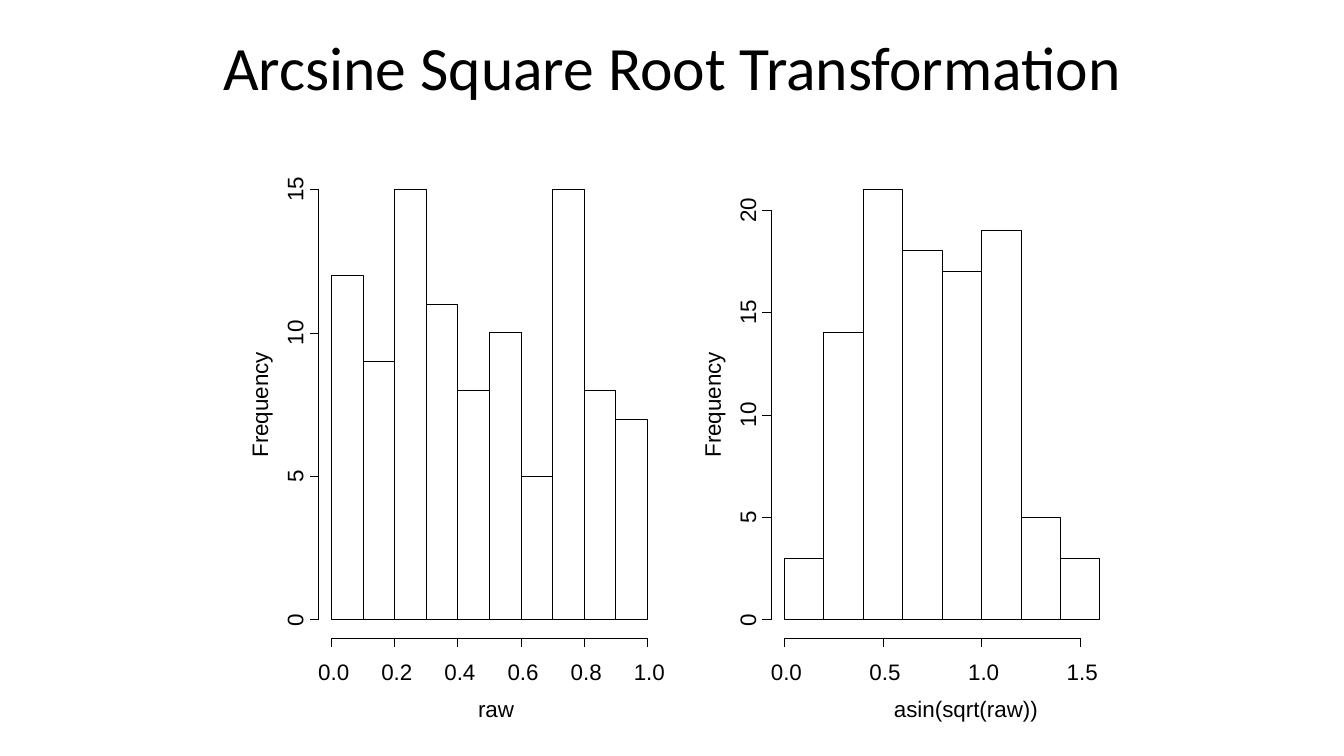
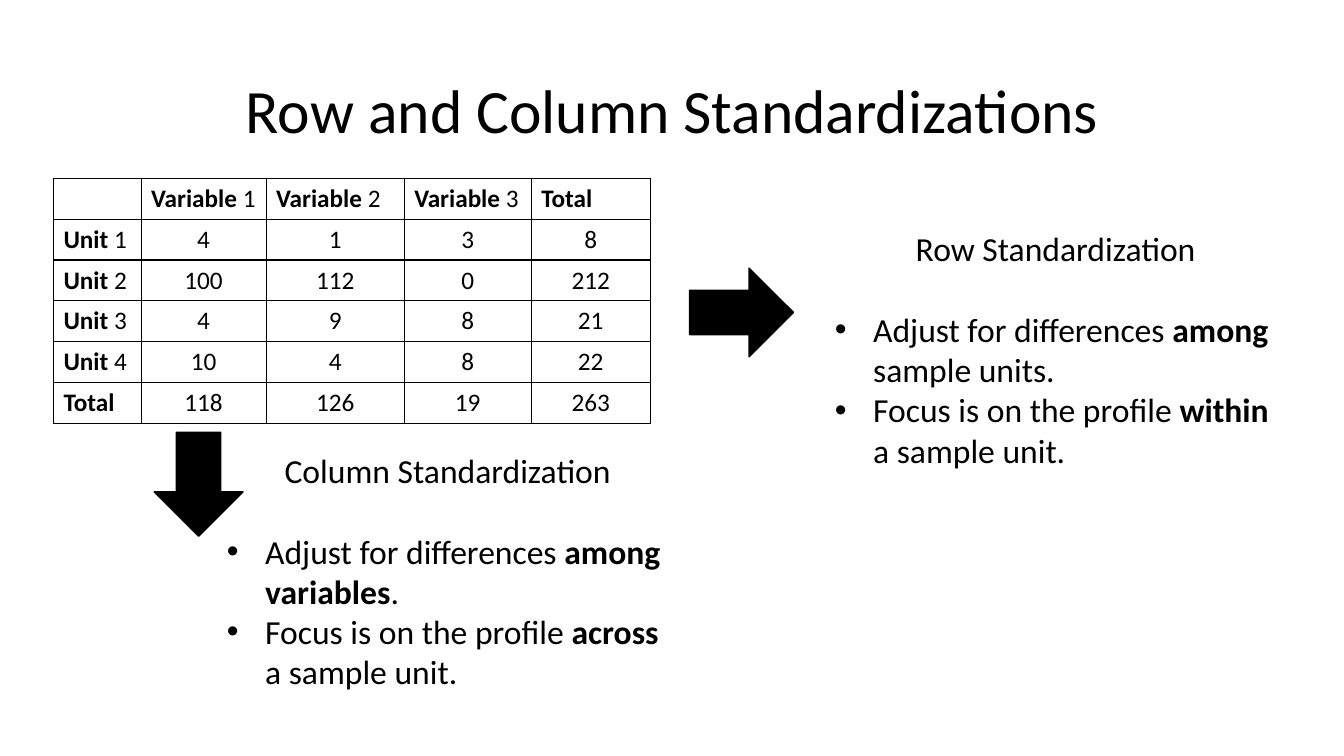
from dataclasses import dataclass

from lxml import etree
from pptx import Presentation
from pptx.chart.data import CategoryChartData
from pptx.dml.color import RGBColor
from pptx.enum.chart import XL_CHART_TYPE
from pptx.enum.shapes import MSO_CONNECTOR, MSO_SHAPE
from pptx.enum.text import MSO_ANCHOR, PP_ALIGN
from pptx.oxml.ns import qn
from pptx.util import Inches, Pt

BLACK = RGBColor(0, 0, 0)
WHITE = RGBColor(255, 255, 255)
BODY_FONT = "Calibri"
PLOT_FONT = "Arial"
PLOT_LINE = Pt(0.63)
CENTER = PP_ALIGN.CENTER
LEFT = PP_ALIGN.LEFT
MIDDLE = MSO_ANCHOR.MIDDLE
STRAIGHT = MSO_CONNECTOR.STRAIGHT
COLUMNS = XL_CHART_TYPE.COLUMN_CLUSTERED
RIGHT_ARROW = MSO_SHAPE.RIGHT_ARROW
DOWN_ARROW = MSO_SHAPE.DOWN_ARROW


@dataclass
class Histogram:
    title: str
    title_center: float
    bin_width: float
    counts: list
    x_ticks: list
    y_ticks: list


RAW = Histogram("raw", 4.92, 0.1, [12, 9, 15, 11, 8, 10, 5, 15, 8, 7],
                [0.0, 0.2, 0.4, 0.6, 0.8, 1.0], [0, 5, 10, 15])
TRANSFORMED = Histogram("asin(sqrt(raw))", 9.58, 0.2,
                        [3, 14, 21, 18, 17, 19, 5, 3],
                        [0.0, 0.5, 1.0, 1.5], [0, 5, 10, 15, 20])

COUNTS = [
    ["", "Variable 1", "Variable 2", "Variable 3", "Total"],
    ["Unit 1", "4", "1", "3", "8"],
    ["Unit 2", "100", "112", "0", "212"],
    ["Unit 3", "4", "9", "8", "21"],
    ["Unit 4", "10", "4", "8", "22"],
    ["Total", "118", "126", "19", "263"],
]
COLUMN_WIDTHS = [0.87, 1.24, 1.37, 1.26, 1.18]
ROW_HEIGHT = 0.405

# Each bullet is a list of lines, each line a list of (text, bold) runs.
ROW_BULLETS = [
    [[("Adjust for differences ", False), ("among", True)],
     [("sample units.", False)]],
    [[("Focus is on the profile ", False), ("within", True)],
     [("a sample unit.", False)]],
]
COLUMN_BULLETS = [
    [[("Adjust for differences ", False), ("among", True)],
     [("variables", True), (".", False)]],
    [[("Focus is on the profile ", False), ("across", True)],
     [("a sample unit.", False)]],
]


def add_run(paragraph, text, size, font=BODY_FONT, bold=False):
    run = paragraph.add_run()
    run.text = text
    run.font.name = font
    run.font.size = Pt(size)
    run.font.bold = bold
    run.font.color.rgb = BLACK


def add_text_frame(slide, left, top, width, height, side_margin=0.1):
    box = slide.shapes.add_textbox(Inches(left), Inches(top),
                                   Inches(width), Inches(height))
    frame = box.text_frame
    frame.word_wrap = True
    frame.margin_left = frame.margin_right = Inches(side_margin)
    return box, frame


def add_title(slide, text, top):
    _, frame = add_text_frame(slide, 0.92, top, 11.5, 1.45)
    frame.vertical_anchor = MIDDLE
    paragraph = frame.paragraphs[0]
    paragraph.alignment = CENTER
    paragraph.line_spacing = 0.9
    add_run(paragraph, text, 44)


def add_plot_label(slide, text, center_x, center_y, width=0.5, rotation=0):
    height = 0.27
    box, frame = add_text_frame(slide, center_x - width / 2,
                                center_y - height / 2, width, height, 0)
    box.rotation = rotation
    frame.margin_top = frame.margin_bottom = 0
    frame.vertical_anchor = MIDDLE
    frame.paragraphs[0].alignment = CENTER
    add_run(frame.paragraphs[0], text, 16, PLOT_FONT)


def add_axis_line(slide, x1, y1, x2, y2):
    line = slide.shapes.add_connector(STRAIGHT, Inches(x1), Inches(y1),
                                      Inches(x2), Inches(y2))
    line.line.color.rgb = BLACK
    line.line.width = PLOT_LINE
    etree.SubElement(line._element.spPr, qn("a:effectLst"))


def set_plot_layout(chart, **fractions):
    """Fix the inner plot area to fractions (x, y, w, h) of the chart."""
    plot_area = chart._chartSpace.chart.plotArea
    for old_layout in plot_area.findall(qn("c:layout")):
        plot_area.remove(old_layout)
    layout = etree.Element(qn("c:layout"))
    plot_area.insert(0, layout)
    manual = etree.SubElement(layout, qn("c:manualLayout"))
    settings = {"layoutTarget": "inner", "xMode": "edge", "yMode": "edge"}
    settings.update(fractions)
    for name, value in settings.items():
        etree.SubElement(manual, qn(f"c:{name}")).set("val", str(value))


def add_bars(slide, histogram, left, top, width, height):
    data = CategoryChartData()
    data.categories = [f"{i * histogram.bin_width:.1f}–"
                       f"{(i + 1) * histogram.bin_width:.1f}"
                       for i in range(len(histogram.counts))]
    data.add_series("Frequency", histogram.counts)
    pad = 0.1
    full_width, full_height = width + 2 * pad, height + 2 * pad
    chart = slide.shapes.add_chart(
        COLUMNS, Inches(left - pad), Inches(top - pad),
        Inches(full_width), Inches(full_height), data).chart
    set_plot_layout(chart, x=pad / full_width, y=pad / full_height,
                    w=width / full_width, h=height / full_height)
    chart.has_legend = False
    chart.has_title = False
    chart.font.name = PLOT_FONT
    chart.font.size = Pt(16)
    chart.font.color.rgb = BLACK
    chart.value_axis.minimum_scale = 0
    chart.value_axis.maximum_scale = max(histogram.counts)
    chart.value_axis.has_major_gridlines = False
    chart.value_axis.visible = False
    chart.category_axis.visible = False
    plot = chart.plots[0]
    plot.gap_width = 0
    plot.vary_by_categories = False
    bars = plot.series[0].format
    bars.fill.background()
    bars.line.color.rgb = BLACK
    bars.line.width = PLOT_LINE


def add_histogram(slide, histogram, left, top, width, height):
    """Column chart with axes set apart from the bars."""
    add_bars(slide, histogram, left, top, width, height)
    bottom = top + height
    tick = 0.09

    x_unit = width / (len(histogram.counts) * histogram.bin_width)
    axis_y = bottom + 0.18
    add_axis_line(slide, left, axis_y,
                  left + histogram.x_ticks[-1] * x_unit, axis_y)
    for value in histogram.x_ticks:
        x = left + value * x_unit
        add_axis_line(slide, x, axis_y, x, axis_y + tick)
        add_plot_label(slide, f"{value:.1f}", x + 0.02, bottom + 0.51)
    add_plot_label(slide, histogram.title, histogram.title_center,
                   bottom + 0.88, 1.8)

    y_unit = height / max(histogram.counts)
    axis_x = left - 0.13
    add_axis_line(slide, axis_x, bottom,
                  axis_x, bottom - histogram.y_ticks[-1] * y_unit)
    for value in histogram.y_ticks:
        y = bottom - value * y_unit
        add_axis_line(slide, axis_x, y, axis_x - tick, y)
        add_plot_label(slide, str(value), left - 0.37, y, rotation=270)
    add_plot_label(slide, "Frequency", left - 0.72, top + height / 2, 1.4, 270)


def style_cell(cell):
    properties = cell._tc.get_or_add_tcPr()
    for side in ("lnL", "lnR", "lnT", "lnB"):
        border = etree.SubElement(properties, qn(f"a:{side}"))
        border.set("w", str(Pt(1)))
        fill = etree.SubElement(border, qn("a:solidFill"))
        etree.SubElement(fill, qn("a:srgbClr")).set("val", str(BLACK))
    cell.fill.solid()
    cell.fill.fore_color.rgb = WHITE


def add_count_table(slide, left, top):
    table = slide.shapes.add_table(
        len(COUNTS), len(COLUMN_WIDTHS), Inches(left), Inches(top),
        Inches(sum(COLUMN_WIDTHS)), Inches(ROW_HEIGHT * len(COUNTS))).table
    table.first_row = False
    table.horz_banding = False
    for column, width in zip(table.columns, COLUMN_WIDTHS):
        column.width = Inches(width)
    for row_index, values in enumerate(COUNTS):
        table.rows[row_index].height = Inches(ROW_HEIGHT)
        for column_index, text in enumerate(values):
            cell = table.cell(row_index, column_index)
            style_cell(cell)
            paragraph = cell.text_frame.paragraphs[0]
            is_heading = row_index == 0 or column_index == 0
            paragraph.alignment = LEFT if is_heading else CENTER
            if not text:
                paragraph.font.size = Pt(18)
                continue
            name, space, number = text.partition(" ")
            add_run(paragraph, name, 18, bold=is_heading)
            if number:
                add_run(paragraph, space + number, 18)


def add_arrow(slide, kind, left, top, width, height):
    arrow = slide.shapes.add_shape(kind, Inches(left), Inches(top),
                                   Inches(width), Inches(height))
    arrow.shadow.inherit = False
    arrow.fill.solid()
    arrow.fill.fore_color.rgb = BLACK
    arrow.line.color.rgb = BLACK
    arrow.line.width = Pt(1)


def set_bullet(paragraph, margin, hanging):
    properties = paragraph._p.get_or_add_pPr()
    properties.set("marL", str(Inches(margin)))
    properties.set("indent", str(-Inches(hanging)))
    etree.SubElement(properties, qn("a:buFont")).set("typeface", PLOT_FONT)
    etree.SubElement(properties, qn("a:buChar")).set("char", "•")


def add_explanation(slide, heading, bullets, left, top):
    _, frame = add_text_frame(slide, left, top, 4.58, 2.52, 0.05)
    paragraph = frame.paragraphs[0]
    paragraph.alignment = CENTER
    paragraph.space_after = Pt(29)
    add_run(paragraph, heading, 24)
    for lines in bullets:
        paragraph = frame.add_paragraph()
        set_bullet(paragraph, 0.43, 0.38)
        for line_index, runs in enumerate(lines):
            if line_index:
                paragraph.add_line_break()
            for text, bold in runs:
                add_run(paragraph, text, 24, bold=bold)


def build_transformation_slide(slide):
    add_title(slide, "Arcsine Square Root Transformation", -0.03)
    for histogram, left in ((RAW, 3.29), (TRANSFORMED, 7.78)):
        add_histogram(slide, histogram, left, 1.88, 3.13, 4.27)


def build_standardization_slide(slide):
    add_title(slide, "Row and Column Standardizations", 0.4)
    add_count_table(slide, 0.53, 1.77)
    add_arrow(slide, RIGHT_ARROW, 6.84, 2.66, 1.03, 0.88)
    add_arrow(slide, DOWN_ARROW, 1.53, 4.29, 0.88, 1.03)
    add_explanation(slide, "Row Standardization", ROW_BULLETS, 8.18, 2.21)
    add_explanation(slide, "Column Standardization", COLUMN_BULLETS, 2.15, 4.41)


def main():
    presentation = Presentation()
    presentation.slide_width = Inches(13.33)
    presentation.slide_height = Inches(7.5)
    blank = presentation.slide_layouts[6]
    for build in (build_transformation_slide, build_standardization_slide):
        build(presentation.slides.add_slide(blank))
    presentation.save("out.pptx")


if __name__ == "__main__":
    main()
